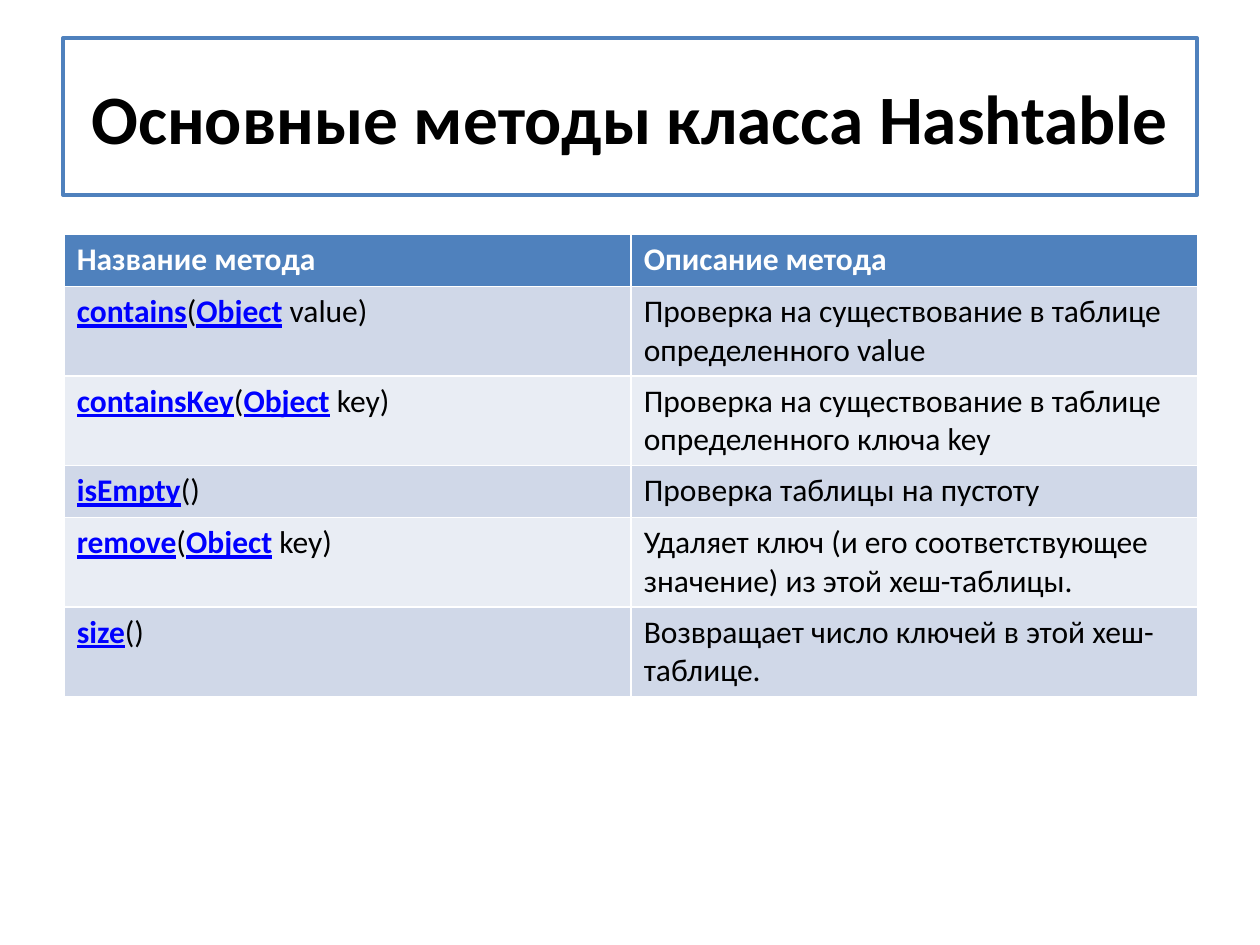
from pptx import Presentation
from pptx.dml.color import RGBColor as RGB
from pptx.enum.text import MSO_ANCHOR as Anchor, MSO_AUTO_SIZE as Fit, PP_ALIGN as Align
from pptx.util import Inches, Pt

BLUE, LINK, WHITE, BLACK = "4F81BD", "0000FF", "FFFFFF", "000000"
BANDS = ("D0D8E8", "E9EDF4")
HEADER = ("Название метода", "Описание метода")
METHODS = [
    (("contains", "(", "Object", " value)"),
     "Проверка на существование в таблице определенного value"),
    (("containsKey", "(", "Object", " key)"),
     "Проверка на существование в таблице определенного ключа key"),
    (("isEmpty", "()"), "Проверка таблицы на пустоту"),
    (("remove", "(", "Object", " key)"),
     "Удаляет ключ (и его соответствующее значение) из этой хеш-таблицы."),
    (("size", "()"), "Возвращает число ключей в этой хеш-таблице."),
]


def rgb(value):
    """Turn a hex string into a colour."""
    return RGB.from_string(value)


def paint(fill, color):
    """Give a fill one solid colour."""
    fill.solid()
    fill.fore_color.rgb = rgb(color)


class Deck:
    """Hold the style and the current slide, and add elements to it."""

    TITLE = {"name": "Calibri", "size": Pt(39.6), "bold": True}
    HEAD = {"name": "Calibri", "size": Pt(18), "bold": True}
    BODY = {"name": "Calibri", "size": Pt(18), "bold": False}
    METHOD = {"name": "Calibri", "size": Pt(18), "bold": True, "underline": True}

    def __init__(self, width, height):
        """Start a presentation with one title-only slide."""
        self.prs = Presentation()
        self.prs.slide_width, self.prs.slide_height = Inches(width), Inches(height)
        self.slide = self.prs.slides.add_slide(self.prs.slide_layouts[5])

    def box(self, x, y, w, h):
        """Turn shares of the slide's size into lengths."""
        W, H = self.prs.slide_width, self.prs.slide_height
        return int(x * W), int(y * H), int(w * W), int(h * H)

    def run(self, p, text, style, color):
        """Add one formatted run to a paragraph."""
        r = p.add_run()
        r.text = text
        for name, value in style.items():
            setattr(r.font, name, value)
        r.font.color.rgb = rgb(color)

    def title(self, text, *share):
        """Place the framed title."""
        sp = self.slide.shapes.title
        sp.left, sp.top, sp.width, sp.height = self.box(*share)
        paint(sp.fill, WHITE)
        sp.line.color.rgb, sp.line.width = rgb(BLUE), Pt(2)
        tf = sp.text_frame
        tf.auto_size, tf.vertical_anchor = Fit.NONE, Anchor.MIDDLE
        p = tf.paragraphs[0]
        p.alignment = Align.CENTER
        self.run(p, text, self.TITLE, BLACK)

    def cell(self, cell, parts, fill, styles):
        """Fill a cell with runs that take the given styles in turn."""
        paint(cell.fill, fill)
        p = cell.text_frame.paragraphs[0]
        for i, text in enumerate(parts):
            self.run(p, text, *styles[i % len(styles)])

    def table(self, header, rows, *share):
        """Add the table of methods and their descriptions."""
        size = len(rows) + 1, len(header)
        table = self.slide.shapes.add_table(*size, *self.box(*share)).table
        for c, text in enumerate(header):
            self.cell(table.cell(0, c), [text], BLUE, [(self.HEAD, WHITE)])
        plain = (self.BODY, BLACK)
        for i, (signature, description) in enumerate(rows):
            fill = BANDS[i % 2]
            self.cell(table.cell(i + 1, 0), signature, fill, [(self.METHOD, LINK), plain])
            self.cell(table.cell(i + 1, 1), [description], fill, [plain])


def main():
    """Build the slide and save it."""
    deck = Deck(10, 7.5)
    deck.title("Основные методы класса Hashtable", 0.05, 0.04, 0.9, 1 / 6)
    deck.table(HEADER, METHODS, 0.051, 0.248, 0.9, 0.33)
    deck.prs.save("out.pptx")


if __name__ == "__main__":
    main()
